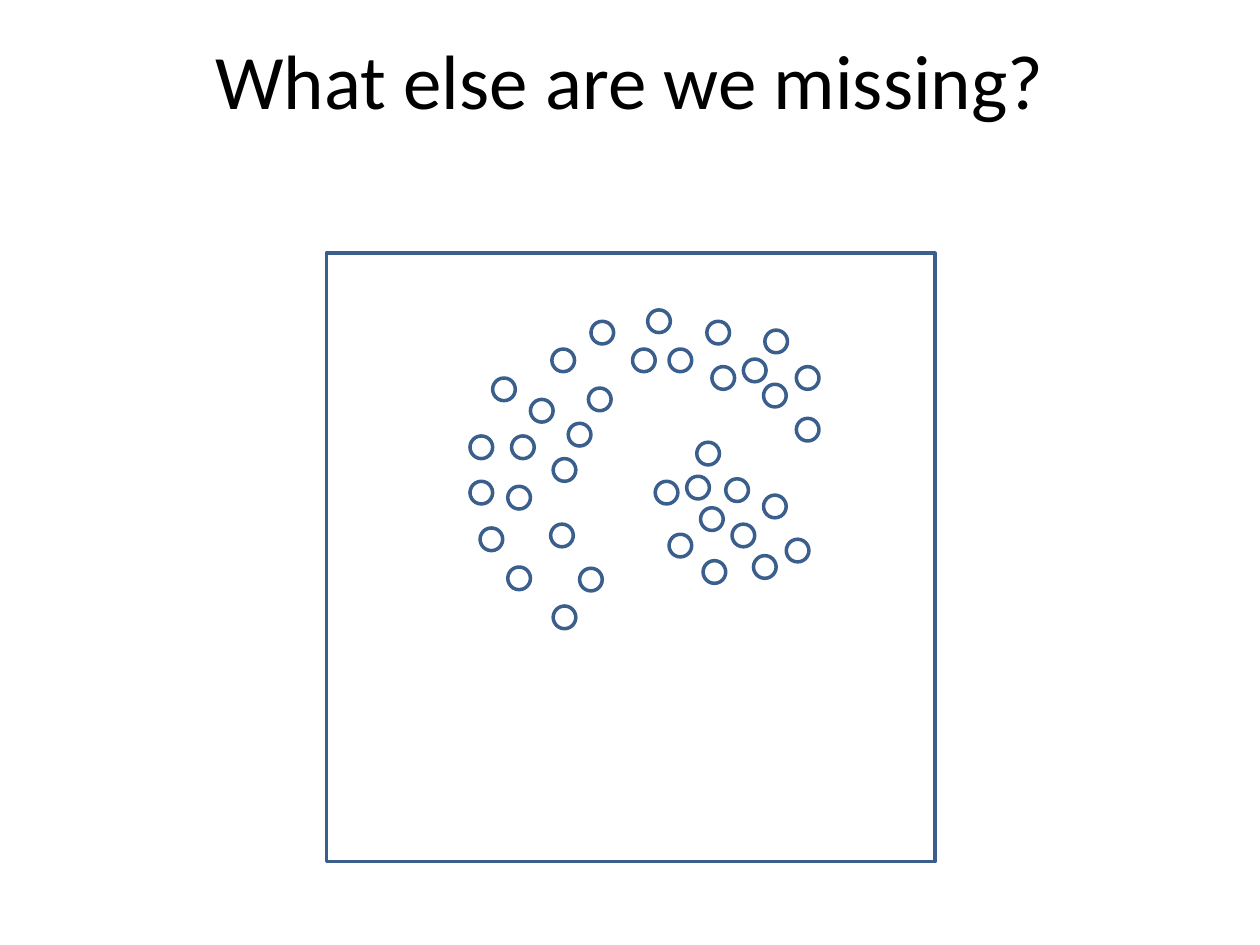
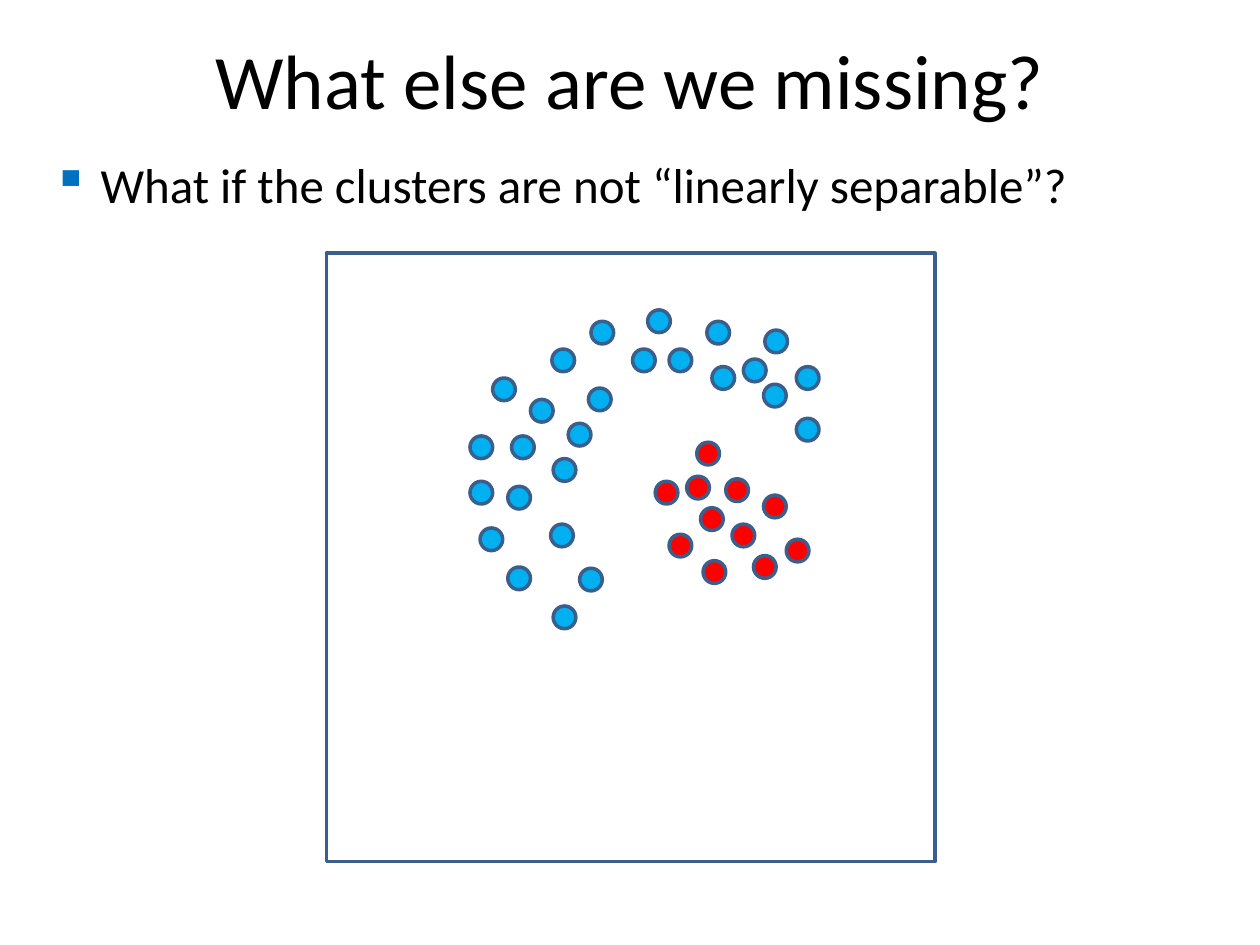
from lxml import etree
from pptx import Presentation
from pptx.dml.color import RGBColor
from pptx.enum.shapes import MSO_SHAPE as SHAPE
from pptx.enum.text import MSO_ANCHOR as ANCHOR, PP_ALIGN as ALIGN
from pptx.oxml.ns import qn
from pptx.util import Inches, Pt

BLACK = RGBColor(0x00, 0x00, 0x00)
OUTLINE = RGBColor(0x3A, 0x5F, 0x8C)
BULLET = RGBColor(0x00, 0x70, 0xC0)
ARC_FILL = RGBColor(0x00, 0xB0, 0xF0)
CORE_FILL = RGBColor(0xFF, 0x00, 0x00)

TITLE = "What else are we missing?"
TITLE_FONT = {"name": "Calibri", "size": Pt(44), "bold": False}
BODY_FONT = {"name": "Calibri", "size": Pt(28)}

FRAME = (2.59, 2.01, 4.83, 4.83)
DOT = 0.18

# Top left corners of the points in each cluster
ARC_POINTS = [
    (4.69, 2.55), (4.38, 2.77), (4.21, 3.17), (3.91, 3.0), (3.73, 3.46),
    (4.03, 3.86), (4.03, 4.5), (3.81, 4.19), (4.39, 3.64), (4.37, 4.16),
    (4.6, 4.51), (4.39, 4.81), (4.67, 3.08), (5.02, 2.77), (4.51, 3.36),
    (5.31, 2.77), (4.06, 3.46), (5.65, 2.91), (5.61, 2.55), (5.14, 2.46),
    (3.73, 3.82), (5.9, 2.85), (6.07, 2.62), (6.06, 3.05), (6.32, 3.32),
    (6.32, 2.91),
]
CORE_POINTS = [
    (5.45, 3.78), (5.2, 3.82), (5.53, 3.51), (5.56, 4.03), (5.31, 4.24),
    (6.06, 3.93), (5.76, 3.8), (5.81, 4.16), (5.58, 4.45), (5.98, 4.41),
    (6.24, 4.28),
]


def place(sp, left, top, width, height):
    sp.left, sp.top = Inches(left), Inches(top)
    sp.width, sp.height = Inches(width), Inches(height)


def write(p, text, font):
    r = p.add_run()
    r.text = text
    for key, value in font.items():
        setattr(r.font, key, value)
    r.font.color.rgb = BLACK


def add_titled_slide(prs):
    s = prs.slides.add_slide(prs.slide_layouts[5])
    sp = s.shapes.title
    place(sp, 0, 0, 10, 1.25)
    tf = sp.text_frame
    tf.vertical_anchor = ANCHOR.MIDDLE
    p = tf.paragraphs[0]
    p.alignment = ALIGN.CENTER
    write(p, TITLE, TITLE_FONT)
    return s


def add_bullet(s, text, left, top, width, height):
    sp = s.shapes.add_textbox(*map(Inches, (left, top, width, height)))
    tf = sp.text_frame
    tf.word_wrap = True
    p = tf.paragraphs[0]
    p.space_after = Pt(6)
    write(p, text, BODY_FONT)
    # Hanging indent and coloured square
    pPr = p._p.get_or_add_pPr()
    pPr.set("marL", str(Inches(0.38)))
    pPr.set("indent", str(Inches(-0.38)))
    color = etree.SubElement(pPr, qn("a:buClr"))
    etree.SubElement(color, qn("a:srgbClr"), val=str(BULLET))
    etree.SubElement(pPr, qn("a:buChar"), char="▪")


def add_outlined(shapes, kind, left, top, width, height, fill=None):
    sp = shapes.add_shape(kind, *map(Inches, (left, top, width, height)))
    sp.shadow.inherit = False
    sp.line.color.rgb = OUTLINE
    sp.line.width = Pt(2)
    if fill is None:
        sp.fill.background()
    else:
        sp.fill.solid()
        sp.fill.fore_color.rgb = fill


def add_scatter(shapes, arc_fill=None, core_fill=None):
    add_outlined(shapes, SHAPE.RECTANGLE, *FRAME)
    for points, fill in ((ARC_POINTS, arc_fill), (CORE_POINTS, core_fill)):
        for left, top in points:
            add_outlined(shapes, SHAPE.OVAL, left, top, DOT, DOT, fill)


def main():
    prs = Presentation()
    prs.slide_width, prs.slide_height = Inches(10), Inches(7.5)

    # Slide 1: points without labels
    s = add_titled_slide(prs)
    add_scatter(s.shapes)

    # Slide 2: the two clusters in colour
    s = add_titled_slide(prs)
    add_bullet(s, "What if the clusters are not “linearly separable”?",
               0.32, 1.18, 9.36, 2.73)
    add_scatter(s.shapes.add_group_shape().shapes, ARC_FILL, CORE_FILL)

    prs.save("out.pptx")


if __name__ == "__main__":
    main()
